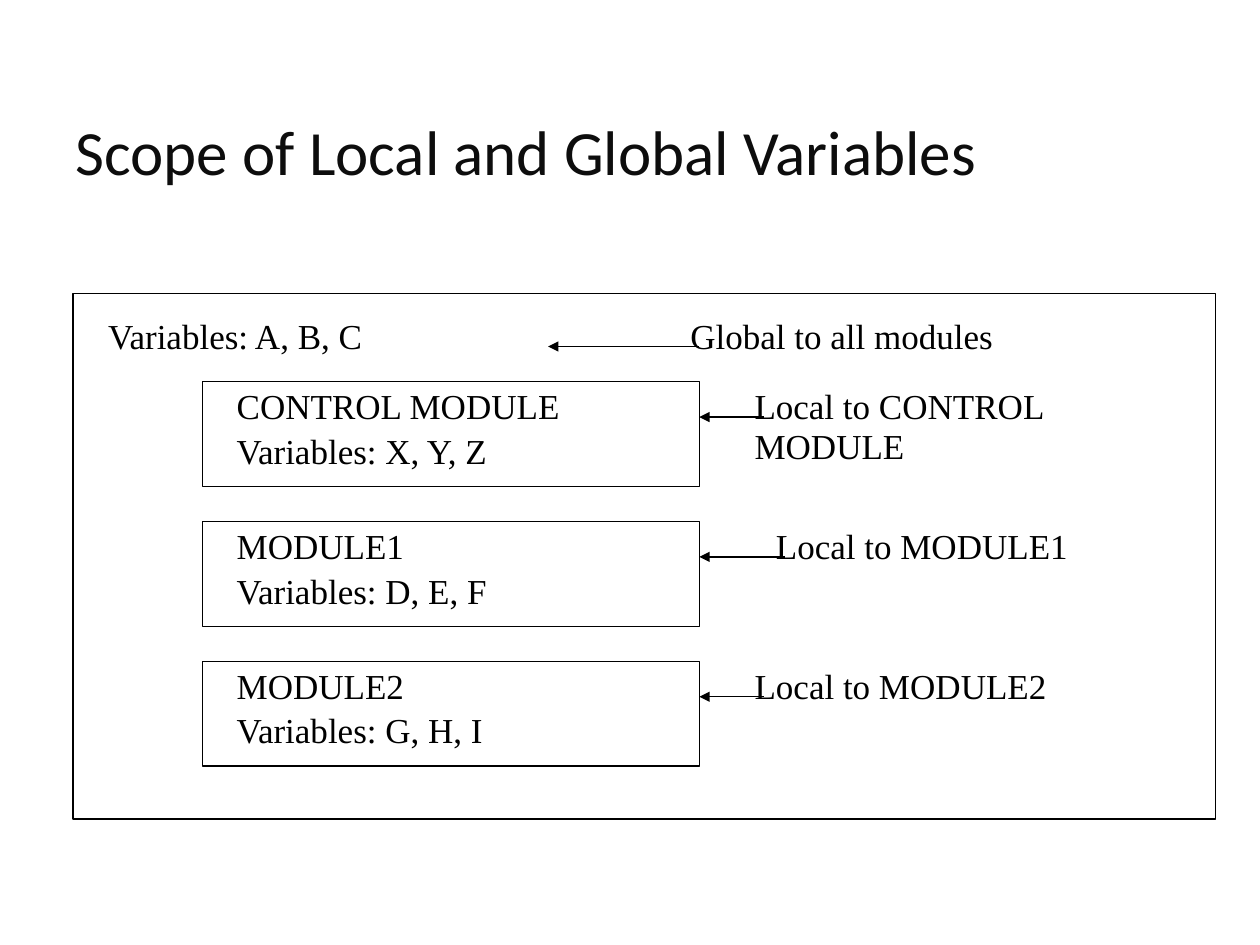
"""Build a slide on the scope of local and global variables."""
from dataclasses import dataclass

from lxml.etree import SubElement
from pptx import Presentation
from pptx.dml.color import RGBColor
from pptx.enum.shapes import MSO_CONNECTOR, MSO_SHAPE
from pptx.enum.text import MSO_ANCHOR, MSO_AUTO_SIZE, PP_ALIGN
from pptx.oxml.ns import qn
from pptx.slide import Slide
from pptx.util import Inches, Pt

BLACK = RGBColor(0x00, 0x00, 0x00)
WHITE = RGBColor(0xFF, 0xFF, 0xFF)
TITLE_COLOR = RGBColor(0x0D, 0x0D, 0x0D)
LINE_WIDTH = Pt(0.75)

TITLE_FRAME = {"vertical_anchor": MSO_ANCHOR.BOTTOM, "word_wrap": True,
               "auto_size": MSO_AUTO_SIZE.NONE}
TITLE_PARAGRAPH = {"alignment": PP_ALIGN.LEFT, "line_spacing": 0.9}
TITLE_FONT = {"name": "Calibri", "size": Pt(36)}
LABEL_PARAGRAPH = {"line_spacing": 0.95, "space_before": Pt(2.5)}
LABEL_FONT = {"name": "Times New Roman", "size": Pt(20)}

MODULE_LEFT, MODULE_TOP = 1.61, 3.03
MODULE_WIDTH, MODULE_HEIGHT = 3.94, 0.83
MODULE_PITCH = 1.11
MODULE_RIGHT = MODULE_LEFT + MODULE_WIDTH
ARROW_DROP = 0.28


@dataclass(frozen=True)
class Box:
    left: float
    top: float
    width: float
    height: float

    def lengths(self) -> tuple:
        return tuple(Inches(value) for value in (self.left, self.top, self.width, self.height))


@dataclass(frozen=True)
class Module:
    name: str
    variables: str
    text_width: float
    scope_left: float
    scope_width: float
    scope_height: float
    arrow_end: float


MODULES = (
    Module("CONTROL MODULE", "X, Y, Z", 4.28, 5.89, 3.43, 0.77, 6.06),
    Module("MODULE1", "D, E, F", 4.11, 6.06, 3.94, 0.69, 6.23),
    Module("MODULE2", "G, H, I", 3.94, 5.89, 4.11, 0.56, 6.06),
)


def apply_format(target: object, values: dict) -> None:
    for name, value in values.items():
        setattr(target, name, value)


def add_title(slide: Slide, text: str, box: Box) -> None:
    title = slide.shapes.title
    apply_format(title, dict(zip(("left", "top", "width", "height"), box.lengths())))
    title.text_frame.text = text
    paragraph = title.text_frame.paragraphs[0]
    apply_format(title.text_frame, TITLE_FRAME)
    apply_format(paragraph, TITLE_PARAGRAPH)
    font = paragraph.runs[0].font
    apply_format(font, TITLE_FONT)
    font.color.rgb = TITLE_COLOR


def add_frame(slide: Slide, box: Box) -> None:
    shape = slide.shapes.add_shape(MSO_SHAPE.ROUNDED_RECTANGLE, *box.lengths())
    shape.adjustments[0] = 0
    shape.shadow.inherit = False
    shape.fill.solid()
    shape.fill.fore_color.rgb = WHITE
    shape.line.color.rgb = BLACK
    shape.line.width = LINE_WIDTH


def add_label(slide: Slide, box: Box, *lines: str) -> None:
    text_frame = slide.shapes.add_textbox(*box.lengths()).text_frame
    text_frame.word_wrap = True
    text_frame.text = "\n".join(lines)
    for paragraph in text_frame.paragraphs:
        apply_format(paragraph, LABEL_PARAGRAPH)
        font = paragraph.runs[0].font
        apply_format(font, LABEL_FONT)
        font.color.rgb = BLACK


def add_arrow(slide: Slide, tip: float, end: float, height: float) -> None:
    connector = slide.shapes.add_connector(
        MSO_CONNECTOR.STRAIGHT, Inches(tip), Inches(height), Inches(end), Inches(height))
    connector.line.color.rgb = BLACK
    connector.line.width = LINE_WIDTH
    properties = connector._element.spPr
    SubElement(properties.find(qn("a:ln")), qn("a:headEnd"), type="triangle")
    SubElement(properties, qn("a:effectLst"))


def add_module(slide: Slide, module: Module, top: float) -> None:
    add_frame(slide, Box(MODULE_LEFT, top, MODULE_WIDTH, MODULE_HEIGHT))
    add_label(slide, Box(1.78, top, module.text_width, MODULE_HEIGHT),
              module.name, f"Variables: {module.variables}")
    add_arrow(slide, MODULE_RIGHT, module.arrow_end, top + ARROW_DROP)
    add_label(slide, Box(module.scope_left, top, module.scope_width, module.scope_height),
              f"Local to {module.name}")


def main() -> None:
    presentation = Presentation()
    presentation.slide_width = Inches(10)
    presentation.slide_height = Inches(7.5)
    slide = presentation.slides.add_slide(presentation.slide_layouts.get_by_name("Title Only"))
    add_title(slide, "Scope of Local and Global Variables", Box(0.5, 0.56, 9, 0.99))
    add_frame(slide, Box(0.58, 2.33, 9.07, 4.17))
    add_label(slide, Box(0.76, 2.47, 4.45, 0.43), "Variables: A, B, C")
    add_label(slide, Box(5.38, 2.47, 4.45, 0.43), "Global to all modules")
    add_arrow(slide, 4.35, MODULE_RIGHT, 2.75)
    for index, module in enumerate(MODULES):
        add_module(slide, module, MODULE_TOP + index * MODULE_PITCH)
    presentation.save("out.pptx")


if __name__ == "__main__":
    main()
